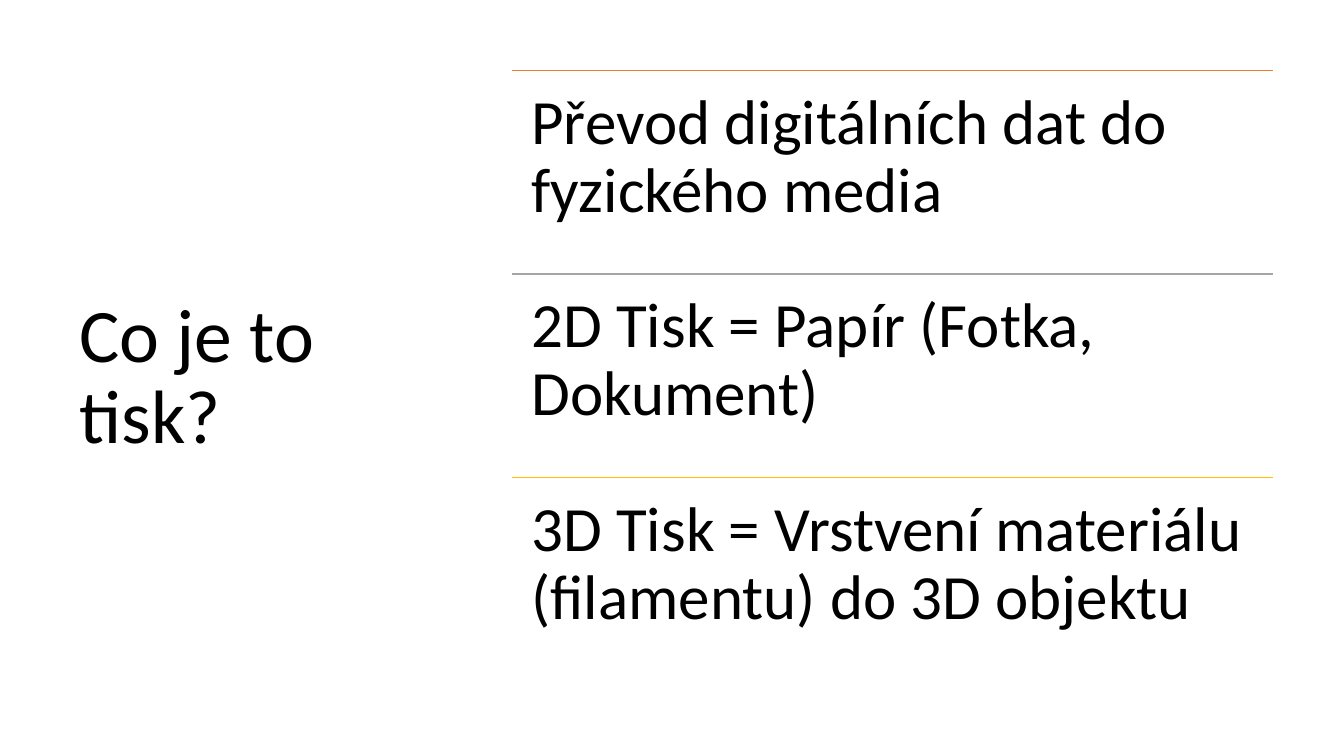
from pptx import Presentation
from pptx.dml.color import RGBColor
from pptx.enum.shapes import MSO_CONNECTOR
from pptx.enum.text import MSO_ANCHOR
from pptx.oxml.ns import qn
from pptx.util import Inches, Pt
from lxml import etree

STRAIGHT = MSO_CONNECTOR.STRAIGHT
TOP, MIDDLE = MSO_ANCHOR.TOP, MSO_ANCHOR.MIDDLE

TITLE = "Co je to tisk?"
ROWS = [
    ("Převod digitálních dat do fyzického media", "ED7D31"),
    ("2D Tisk = Papír (Fotka, Dokument)", "A5A5A5"),
    ("3D Tisk = Vrstvení materiálu (filamentu) do 3D objektu", "FFC000"),
]
FONT = "Calibri"
TEXT_COLOR = "000000"
LIST_LEFT, LIST_TOP, LIST_WIDTH, ROW_HEIGHT = 5.08, 0.7, 7.55, 2.02


def color(hex_string):
    return RGBColor.from_string(hex_string)


def add_text(slide, text, box, size, anchor, side_inset, edge_inset):
    shape = slide.shapes.add_textbox(*[Inches(value) for value in box])
    frame = shape.text_frame
    frame.word_wrap = True
    frame.vertical_anchor = anchor
    frame.margin_left = frame.margin_right = Inches(side_inset)
    frame.margin_top = frame.margin_bottom = Inches(edge_inset)
    paragraph = frame.paragraphs[0]
    paragraph.line_spacing = 0.9
    run = paragraph.add_run()
    run.text = text
    run.font.name = FONT
    run.font.size = Pt(size)
    run.font.color.rgb = color(TEXT_COLOR)


def add_rule(slide, top, line_color):
    left, right = Inches(LIST_LEFT), Inches(LIST_LEFT + LIST_WIDTH)
    connector = slide.shapes.add_connector(STRAIGHT, left, Inches(top), right, Inches(top))
    connector.line.color.rgb = color(line_color)
    connector.line.width = Pt(1)
    etree.SubElement(connector._element.spPr, qn("a:effectLst"))


def main():
    presentation = Presentation()
    presentation.slide_width = Inches(13.33)
    presentation.slide_height = Inches(7.5)
    slide = presentation.slides.add_slide(presentation.slide_layouts[6])

    add_text(slide, TITLE, (0.69, 0.7, 3.74, 6.11), 54, MIDDLE, 0.1, 0.05)
    for index, (text, line_color) in enumerate(ROWS):
        top = LIST_TOP + index * ROW_HEIGHT
        add_rule(slide, top, line_color)
        add_text(slide, text, (LIST_LEFT, top, LIST_WIDTH, ROW_HEIGHT), 45, TOP, 0.19, 0.19)

    presentation.save("out.pptx")


if __name__ == "__main__":
    main()
